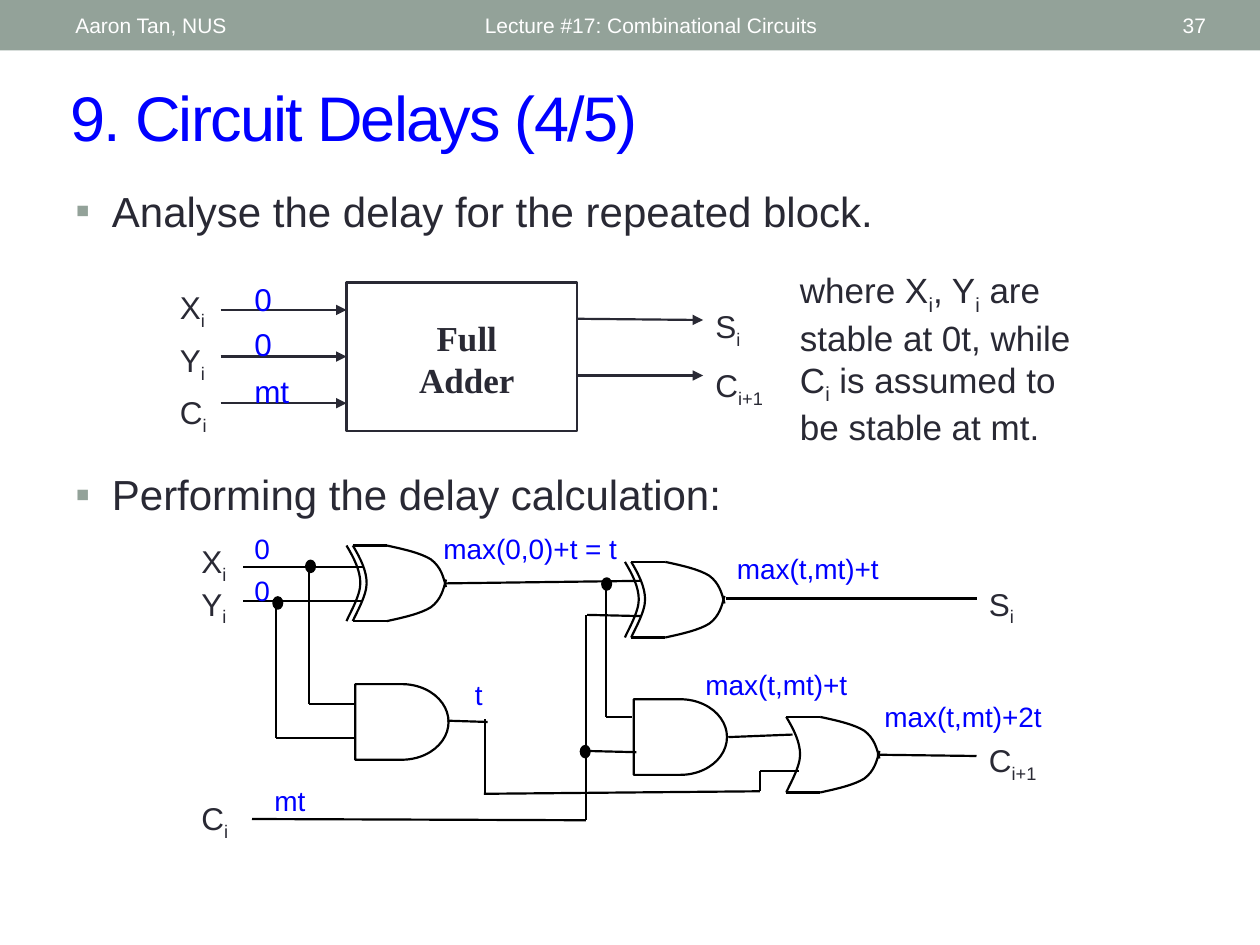
from dataclasses import dataclass
from lxml.etree import SubElement as Sub
from pptx import Presentation
from pptx.dml.color import RGBColor as Rgb
from pptx.enum.shapes import MSO_SHAPE as Kind
from pptx.enum.text import MSO_ANCHOR as Anchor, PP_ALIGN as Align
from pptx.oxml.ns import qn
from pptx.util import Emu, Pt

PX = 9144
HEX = {"sage": "93A299", "blue": "0000FF", "ink": "292934",
       "black": "000000", "white": "FFFFFF"}


@dataclass
class Note:
    x: int
    y: int
    w: int
    h: int
    text: str
    size: int = 18
    color: str = "ink"
    gap: float = 0
    align: Align = Align.LEFT
    mid: bool = False
    face: str = "Arial"
    bold: bool = False
    bullet: bool = False
    track: int = 0


@dataclass
class Wire:
    x1: int
    y1: int
    x2: int
    y2: int
    color: str = "black"
    arrow: bool = False


@dataclass
class Gate:
    x: int
    y: int
    double: bool = False


def px(n: int) -> Emu:
    return Emu(n * PX)


def tint(name: str) -> Rgb:
    return Rgb.from_string(HEX[name])


def add_note(slide, n: Note) -> None:
    frame = slide.shapes.add_textbox(*map(px, (n.x, n.y, n.w, n.h))).text_frame
    frame.word_wrap = True
    frame.vertical_anchor = Anchor.MIDDLE if n.mid else Anchor.TOP
    for i, line in enumerate(n.text.split("\n")):
        para = frame.paragraphs[0] if i == 0 else frame.add_paragraph()
        para.alignment = n.align
        if i:
            para.space_before = Pt(n.gap)
        if n.bullet:
            add_bullet(para)
        font = para.font
        font.name, font.size, font.bold = n.face, Pt(n.size), n.bold
        font.color.rgb = tint(n.color)
        for j, part in enumerate(line.split("~")):
            if not part:
                continue
            run = para.add_run()
            run.text = part
            props = run._r.get_or_add_rPr()
            if j % 2:
                props.set("baseline", "-25000")
            if n.track:
                props.set("spc", str(n.track))


def add_bullet(para) -> None:
    props = para._p.get_or_add_pPr()
    props.set("marL", str(px(29)))
    props.set("indent", str(-px(29)))
    Sub(Sub(props, qn("a:buClr")), qn("a:srgbClr")).set("val", HEX["sage"])
    Sub(props, qn("a:buFont")).set("typeface", "Arial")
    Sub(props, qn("a:buChar")).set("char", "▪")


def add_wire(slide, w: Wire) -> None:
    line = slide.shapes.add_connector(1, *map(px, (w.x1, w.y1, w.x2, w.y2)))
    line.line.width = Pt(1.25)
    line.line.color.rgb = tint(w.color)
    props = line._element.spPr
    if w.arrow:
        Sub(props.find(qn("a:ln")), qn("a:tailEnd")).set("type", "triangle")
    Sub(props, qn("a:effectLst"))


def dress(shape, fill: str = "", edge: str = "", width: float = 1.25) -> None:
    shape.shadow.inherit = False
    if fill:
        shape.fill.solid()
        shape.fill.fore_color.rgb = tint(fill)
    else:
        shape.fill.background()
    if edge:
        shape.line.color.rgb = tint(edge)
        shape.line.width = Pt(width)
    else:
        shape.line.fill.background()


def add_box(slide, kind: Kind, x: int, y: int, w: int, h: int, **style) -> None:
    dress(slide.shapes.add_shape(kind, *map(px, (x, y, w, h))), **style)


def add_curve(slide, knots: list, x: int, y: int) -> None:
    start, *rest = [(px(x + a), px(y + b)) for a, b in knots]
    pen = slide.shapes.build_freeform(*start)
    pen.add_line_segments(rest, close=False)
    shape = pen.convert_to_shape()
    track = next(shape._element.iter(qn("a:path")))
    legs = track.findall(qn("a:lnTo"))
    for i in range(0, len(legs), 3):
        bend = Sub(track, qn("a:cubicBezTo"))
        for leg in legs[i:i + 3]:
            bend.append(leg[0])
            track.remove(leg)
    dress(shape, edge="black")


BACK = [(0, 0), (6, 10), (11, 20), (11, 30), (11, 40), (2, 55), (0, 60)]
NOSE = [(27, 0), (41, 3), (54, 6), (62, 11), (70, 17), (72, 25), (74, 33)]


def add_gate(slide, g: Gate) -> None:
    add_curve(slide, BACK, g.x, g.y)
    for y in (g.y, g.y + 60):
        add_wire(slide, Wire(g.x, y, g.x + 27, y))
    add_curve(slide, NOSE, g.x, g.y)
    add_curve(slide, [(a, 60 - b) for a, b in NOSE], g.x, g.y)
    if g.double:
        add_curve(slide, BACK, g.x - 5, g.y)


NOTES = [
    Note(46, 57, 921, 70, "9. Circuit Delays (4/5)", 36, "blue", mid=True, track=-100),
    Note(375, 2, 450, 36, "Lecture #17: Combinational Circuits", 12, "white", mid=True),
    Note(872, 2, 95, 36, "37", 12, "white", align=Align.RIGHT, mid=True),
    Note(50, 2, 317, 36, "Aaron Tan, NUS", 12, "white", mid=True),
    Note(50, 142, 900, 67, "Analyse the delay for the repeated block.", 24, bullet=True),
    Note(50, 367, 900, 67, "Performing the delay calculation:", 24, bullet=True),
    Note(625, 208, 258, 158, "where X~i~, Y~i~ are stable at 0t, while C~i~ is "
         "assumed to be stable at mt.", 20),
    Note(308, 246, 125, 77, "Full\nAdder", 20, align=Align.CENTER,
         face="Times New Roman", bold=True),
    Note(133, 224, 50, 118, "X~i~\nY~i~\nC~i~", gap=5.4),
    Note(558, 239, 67, 85, "S~i~\nC~i+1~", gap=9),
    Note(192, 217, 33, 40, "0", color="blue"),
    Note(192, 253, 33, 40, "0", color="blue"),
    Note(192, 290, 50, 40, "mt", color="blue"),
    Note(150, 425, 42, 60, "X~i~\nY~i~"),
    Note(775, 459, 58, 38, "S~i~"),
    Note(775, 583, 83, 38, "C~i+1~"),
    Note(150, 629, 53, 38, "C~i~"),
] + [Note(x, y, w, 38, text, 16, "blue") for x, y, w, text in (
    (342, 417, 165, "max(0,0)+t = t"), (367, 533, 26, "t"),
    (192, 450, 33, "0"), (192, 417, 33, "0"), (208, 617, 50, "mt"),
    (575, 433, 158, "max(t,mt)+t"), (692, 550, 175, "max(t,mt)+2t"),
    (550, 525, 158, "max(t,mt)+t"))]

ARROWS = [(175, 246, 275, 246), (175, 283, 275, 283), (175, 320, 275, 320),
          (458, 253, 558, 254), (458, 298, 558, 298)]
LINES = [
    (193, 450, 288, 450), (193, 477, 288, 477), (354, 463, 509, 461),
    (245, 559, 282, 559), (245, 450, 245, 559), (219, 477, 219, 586),
    (219, 586, 282, 586), (355, 572, 387, 573), (466, 488, 509, 489),
    (576, 475, 775, 475), (481, 569, 502, 569), (481, 460, 481, 569),
    (465, 488, 465, 651), (384, 630, 603, 628), (578, 585, 629, 583),
    (200, 650, 465, 651), (465, 596, 505, 597), (385, 630, 385, 571),
    (603, 612, 634, 612), (603, 628, 603, 612), (696, 599, 775, 600),
]
WIRES = [Wire(*a, "ink", True) for a in ARROWS] + [Wire(*p) for p in LINES]
GATES = [Gate(280, 433, True), Gate(501, 446, True), Gate(624, 569)]
ANDS = [(282, 543), (503, 555)]
DOTS = [(217, 474), (243, 445), (461, 592), (478, 459)]


def main() -> None:
    deck = Presentation()
    deck.slide_width, deck.slide_height = px(1000), px(750)
    slide = deck.slides.add_slide(deck.slide_layouts[6])
    add_box(slide, Kind.RECTANGLE, 0, 0, 1000, 40, fill="sage")
    add_box(slide, Kind.RECTANGLE, 275, 224, 183, 118, edge="ink", width=1.5)
    for x, y in ANDS:
        add_box(slide, Kind.FLOWCHART_DELAY, x, y, 74, 60, edge="black")
    for wire in WIRES:
        add_wire(slide, wire)
    for x, y in DOTS:
        add_box(slide, Kind.OVAL, x, y, 7, 9, fill="black", edge="black")
    for gate in GATES:
        add_gate(slide, gate)
    for note in NOTES:
        add_note(slide, note)
    deck.save("out.pptx")


if __name__ == "__main__":
    main()
